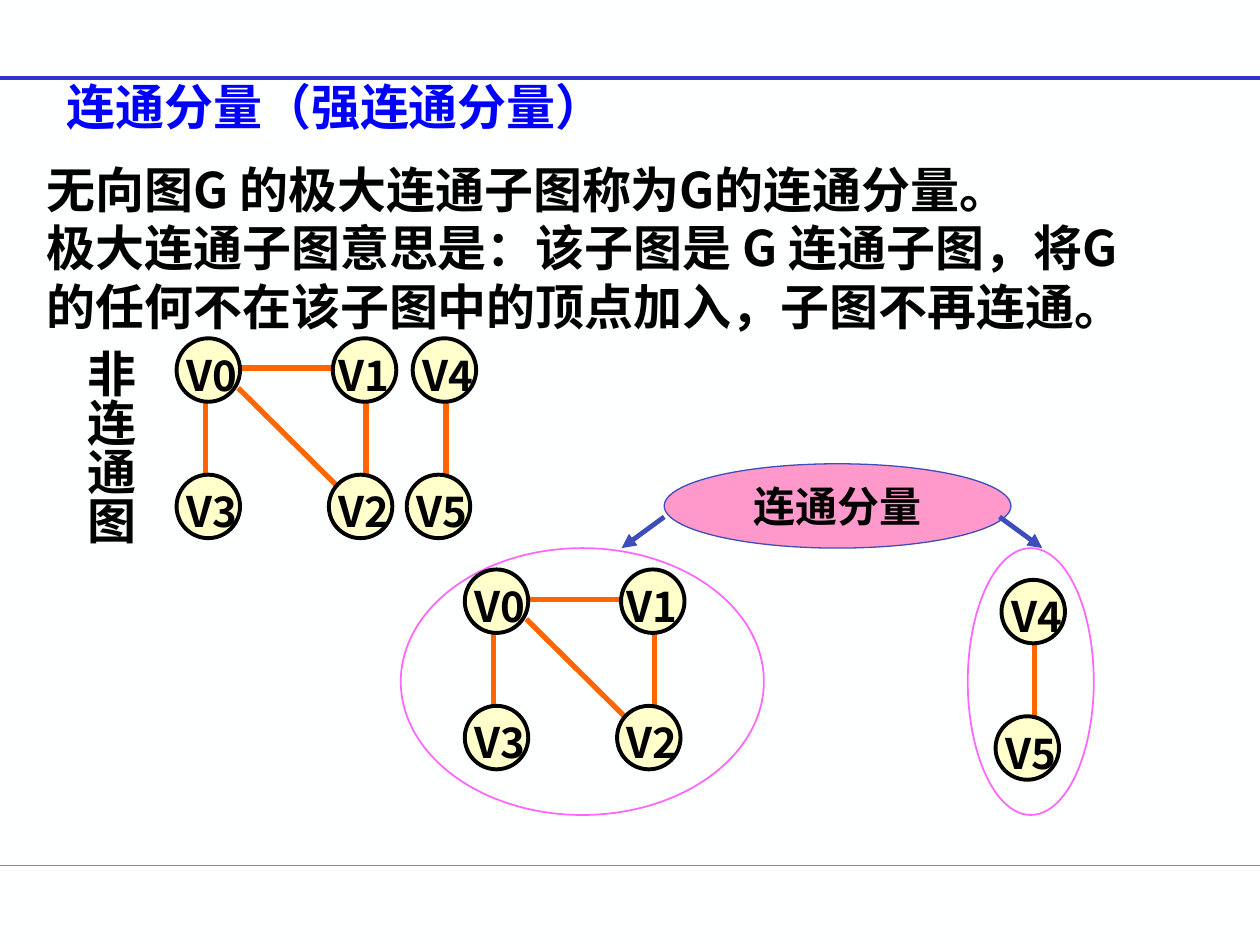
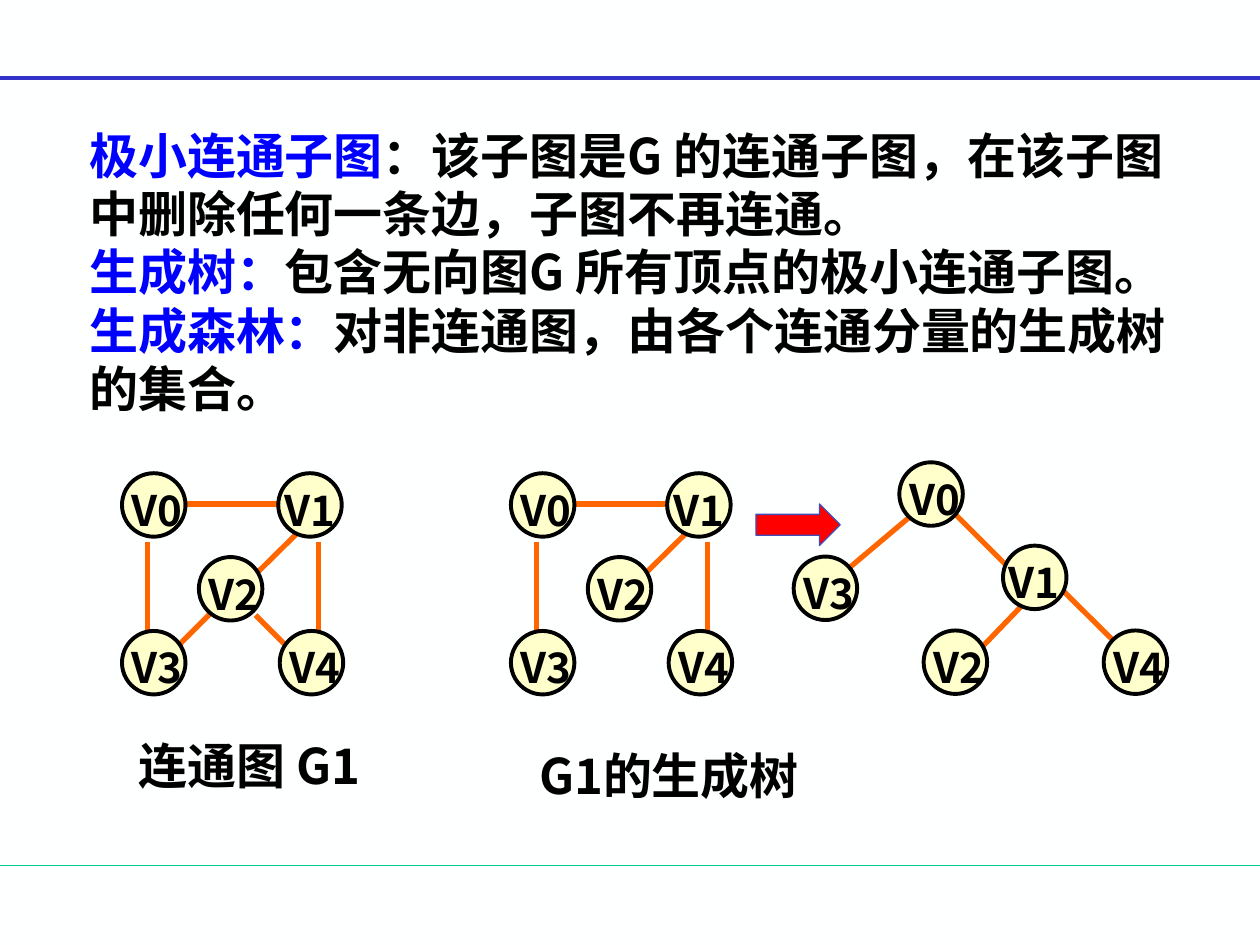
import lxml.etree
import pptx
import pptx.dml.color
import pptx.enum.shapes
import pptx.enum.text
import pptx.oxml.ns
import pptx.util

Cm, Pt = pptx.util.Cm, pptx.util.Pt
RGB = pptx.dml.color.RGBColor
SHAPE = pptx.enum.shapes.MSO_SHAPE
ALIGN = pptx.enum.text.PP_ALIGN
ANCHOR = pptx.enum.text.MSO_ANCHOR
qn = pptx.oxml.ns.qn

PAPER = RGB(0xFE, 0xFF, 0xFF)
BLACK = RGB(0, 0, 0)
BLUE = RGB(0, 0, 0xFF)
NAVY = RGB(0x33, 0x33, 0xCC)
GREEN = RGB(0, 0xCC, 0x99)
INDIGO = RGB(0x3E, 0x4D, 0xBA)
ORANGE = RGB(0xFF, 0x66, 0)
CREAM = RGB(0xFF, 0xFF, 0xCC)
PINK = RGB(0xFF, 0x99, 0xCC)
VIOLET = RGB(0xFF, 0x66, 0xFF)
RED = RGB(0xFF, 0, 0)

HAN = "Noto Sans CJK SC"
BODY = {"name": HAN, "size": Pt(28), "bold": True}
TERM = {**BODY, "name": "DejaVu Sans"}
LABEL = {**BODY, "size": Pt(24)}
BADGE = {**LABEL, "name": "Times New Roman"}
INSET = {"margin_left": Cm(0.25), "margin_right": Cm(0.25),
         "margin_top": Cm(0.23), "margin_bottom": Cm(0.13),
         "vertical_anchor": ANCHOR.TOP, "word_wrap": True,
         "auto_size": pptx.enum.text.MSO_AUTO_SIZE.NONE}

WIDTH, HEIGHT = 25.4, 19.05
NODE = 1.28
# A graph is its nodes (name: left, top) and its edges (x1, y1, x2, y2).
SQUARE = ({"V0": (0, 0), "V1": (3.15, 0), "V2": (3.07, 2.75), "V3": (0, 2.75)},
          [(1.24, 1, 3.35, 3.09), (0.58, 1.27, 0.58, 2.88),
           (1.27, 0.6, 3.25, 0.6), (3.82, 1.27, 3.82, 2.88)])
PAIR = ({"V4": (0.12, 0), "V5": (0, 2.75)}, [(0.79, 1.16, 0.79, 2.78)])
RING = {"V0": (0, 0), "V1": (3.15, 0), "V2": (1.55, 1.69),
        "V3": (0, 3.18), "V4": (3.18, 3.18)}
SPAN = [(0.51, 1.38, 0.51, 3.21), (1.24, 0.62, 3.35, 0.62),
        (3.96, 1.38, 3.96, 3.21), (3.51, 1.23, 2.74, 1.99)]
LOOPS = [(1.85, 2.76, 1.09, 3.52), (2.69, 2.86, 3.35, 3.52)]
TREE = ({"V0": (2.13, 0), "V3": (0, 1.9), "V1": (4.22, 1.68),
         "V2": (2.62, 3.39), "V4": (6.25, 3.39)},
        [(2.41, 1.04, 1.14, 2.11), (5.38, 2.54, 6.43, 3.58),
         (4.57, 2.92, 3.81, 3.71), (3.25, 1.04, 4.32, 2.11)])


def apply(target, values):
    for key, value in values.items():
        setattr(target, key, value)


def write(frame, lines, align=ALIGN.LEFT, **inset):
    """Fill a frame; each line is a list of (text, format, colour) runs."""
    apply(frame, {**INSET, **inset})
    for row, runs in enumerate(lines):
        para = frame.paragraphs[0] if row == 0 else frame.add_paragraph()
        para.alignment = align
        para.space_before = Pt(0)
        para.line_spacing = Pt(1.19 * runs[0][1]["size"].pt)
        for text, form, color in runs:
            run = para.add_run()
            run.text = text
            apply(run.font, form)
            run.font.color.rgb = color
            face = lxml.etree.SubElement(run.font._element, qn("a:ea"))
            face.set("typeface", HAN)


def note(slide, box, lines, align=ALIGN.LEFT, **inset):
    area = slide.shapes.add_textbox(*map(Cm, box))
    write(area.text_frame, lines, align, **inset)
    return area


def draw(slide, kind, box, fill, color, width):
    shape = slide.shapes.add_shape(kind, *map(Cm, box))
    shape.shadow.inherit = False
    if fill is None:
        shape.fill.background()
    else:
        shape.fill.solid()
        shape.fill.fore_color.rgb = fill
    shape.line.color.rgb = color
    shape.line.width = Pt(width)
    return shape


def link(slide, ends, color, width, arrow=False):
    line = slide.shapes.add_connector(
        pptx.enum.shapes.MSO_CONNECTOR.STRAIGHT, *map(Cm, ends))
    line.line.color.rgb = color
    line.line.width = Pt(width)
    if arrow:
        tip = lxml.etree.SubElement(line.line._ln, qn("a:tailEnd"))
        tip.set("type", "triangle")
    lxml.etree.SubElement(line._element.spPr, qn("a:effectLst"))


def graph(slide, left, top, nodes, edges):
    for x1, y1, x2, y2 in edges:
        link(slide, (left + x1, top + y1, left + x2, top + y2), ORANGE, 3)
    for name, (x, y) in nodes.items():
        x, y = left + x, top + y
        draw(slide, SHAPE.OVAL, (x, y, NODE, NODE), CREAM, BLACK, 2.25)
        shift = 0.21 if name == "V1" else 0.13
        note(slide, (x - shift, y, 1.8, 1.27), [[(name, LABEL, BLACK)]],
             margin_left=Cm(0.33))


def part(slide, box, offset, shape):
    """Ring a component and place its graph inside."""
    draw(slide, SHAPE.OVAL, box, None, VIOLET, 1)
    graph(slide, box[0] + offset[0], box[1] + offset[1], *shape)


def badge(slide, left, top):
    oval = draw(slide, SHAPE.OVAL, (left, top, 6.99, 1.7), PINK, INDIGO, 0.75)
    write(oval.text_frame, [[("连通分量", BADGE, BLACK)]], ALIGN.CENTER,
          vertical_anchor=ANCHOR.MIDDLE, word_wrap=False, margin_top=Cm(0.13))
    for start, end in ((0, -0.86), (6.76, 7.62)):
        link(slide, (left + start, top + 1.07, left + end, top + 1.7),
             INDIGO, 2.75, arrow=True)


def page(deck, layout):
    slide = deck.slides.add_slide(deck.slide_layouts[layout])
    link(slide, (0, 17.45, WIDTH, 17.45), GREEN, 0.75)
    link(slide, (0, 1.57, WIDTH, 1.57), NAVY, 2.25)
    return slide


def split(deck):
    """Connected components of a graph."""
    slide = page(deck, 5)
    title = slide.shapes.title
    apply(title, {"left": Cm(1.09), "top": Cm(1.32),
                  "width": Cm(15.24), "height": Cm(1.45)})
    write(title.text_frame, [[("连通分量（强连通分量）", TERM, BLUE)]])
    side = note(slide, (1.35, 6.81, 1.7, 5.28), [[("非连通图", BODY, BLACK)]])
    side.text_frame._txBody.bodyPr.set("vert", "eaVert")
    note(slide, (0.69, 3, 22.86, 3.81), [
        [("无向图G 的极大连通子图称为G的连通分量。", BODY, BLACK)],
        [("极大连通子图意思是：该子图是 G 连通子图，将G 的任何不在该子图中的顶点加入，"
          "子图不再连通。", BODY, BLACK)]])
    graph(slide, 3.56, 6.82, *SQUARE)
    graph(slide, 8.2, 6.82, *PAIR)
    part(slide, (8.08, 11.05, 7.32, 5.38), (1.29, 0.43), SQUARE)
    part(slide, (19.51, 11.05, 2.54, 5.38), (0.56, 0.64), PAIR)
    badge(slide, 13.39, 9.35)


def span(deck):
    """Spanning trees of a connected graph."""
    slide = page(deck, 6)
    note(slide, (1.55, 2.31, 23.01, 6.2), [
        [("极小连通子图", TERM, BLUE),
         ("：该子图是G 的连通子图，在该子图中删除任何一条边，子图不再连通。",
          BODY, BLACK)],
        [("生成树：", TERM, BLUE),
         ("包含无向图G 所有顶点的极小连通子图。", BODY, BLACK)],
        [("生成森林：", TERM, BLUE),
         ("对非连通图，由各个连通分量的生成树的集合。", BODY, BLACK)]])
    for left, top, text in ((1.9, 14.6, "连通图 G1"),
                            (10.36, 14.81, "G1的生成树")):
        note(slide, (left, top, 6.25, 1.45), [[(text, BODY, BLACK)]],
             ALIGN.CENTER)
    graph(slide, 2.46, 9.54, RING, SPAN + LOOPS)
    graph(slide, 10.3, 9.54, RING, SPAN)
    graph(slide, 16, 9.32, *TREE)
    draw(slide, SHAPE.RIGHT_ARROW, (15.24, 10.16, 1.7, 0.84),
         RED, INDIGO, 0.75)


def main():
    deck = pptx.Presentation()
    deck.slide_width, deck.slide_height = Cm(WIDTH), Cm(HEIGHT)
    back = deck.slide_master.background.fill
    back.solid()
    back.fore_color.rgb = PAPER
    split(deck)
    span(deck)
    deck.save("out.pptx")


if __name__ == "__main__":
    main()
